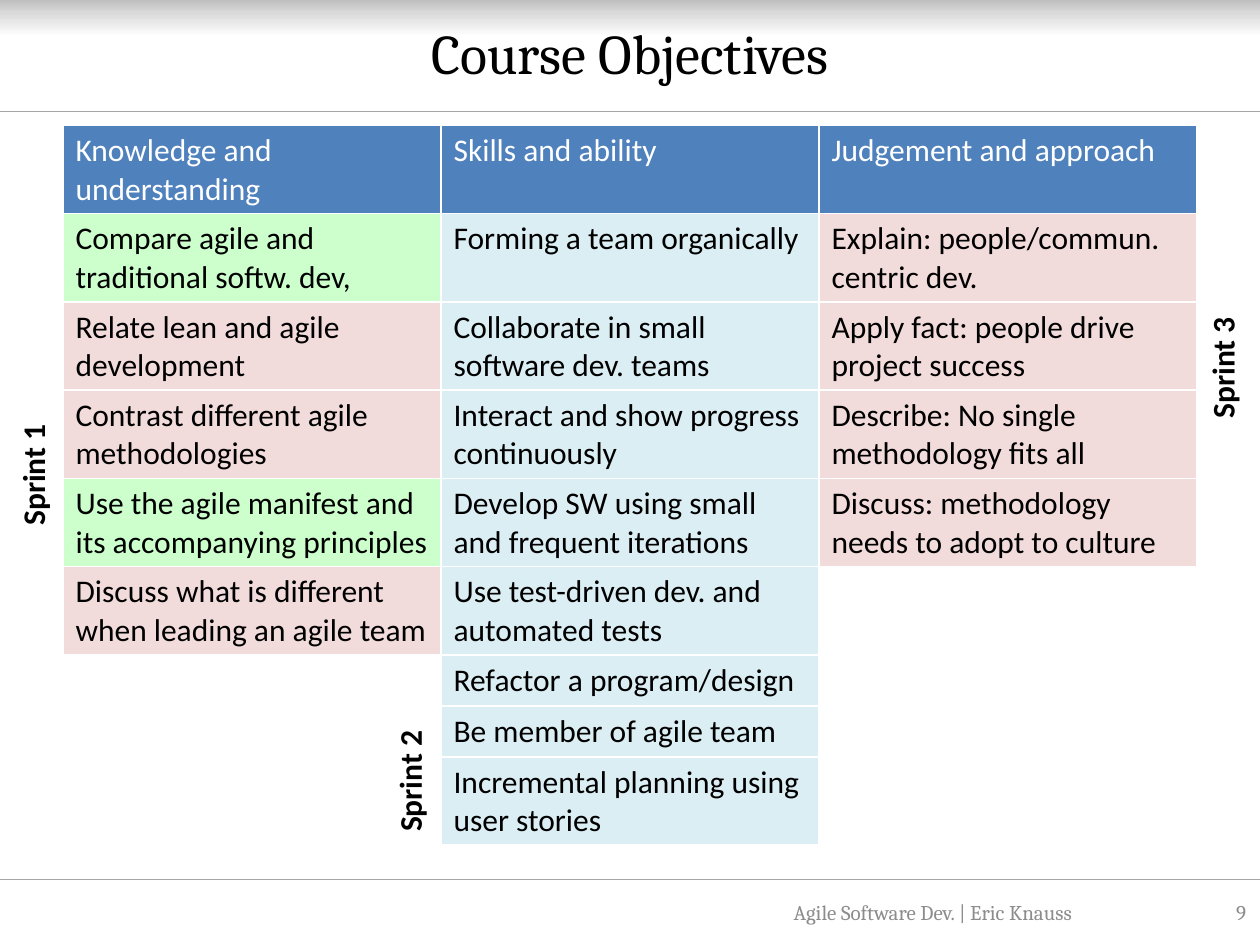
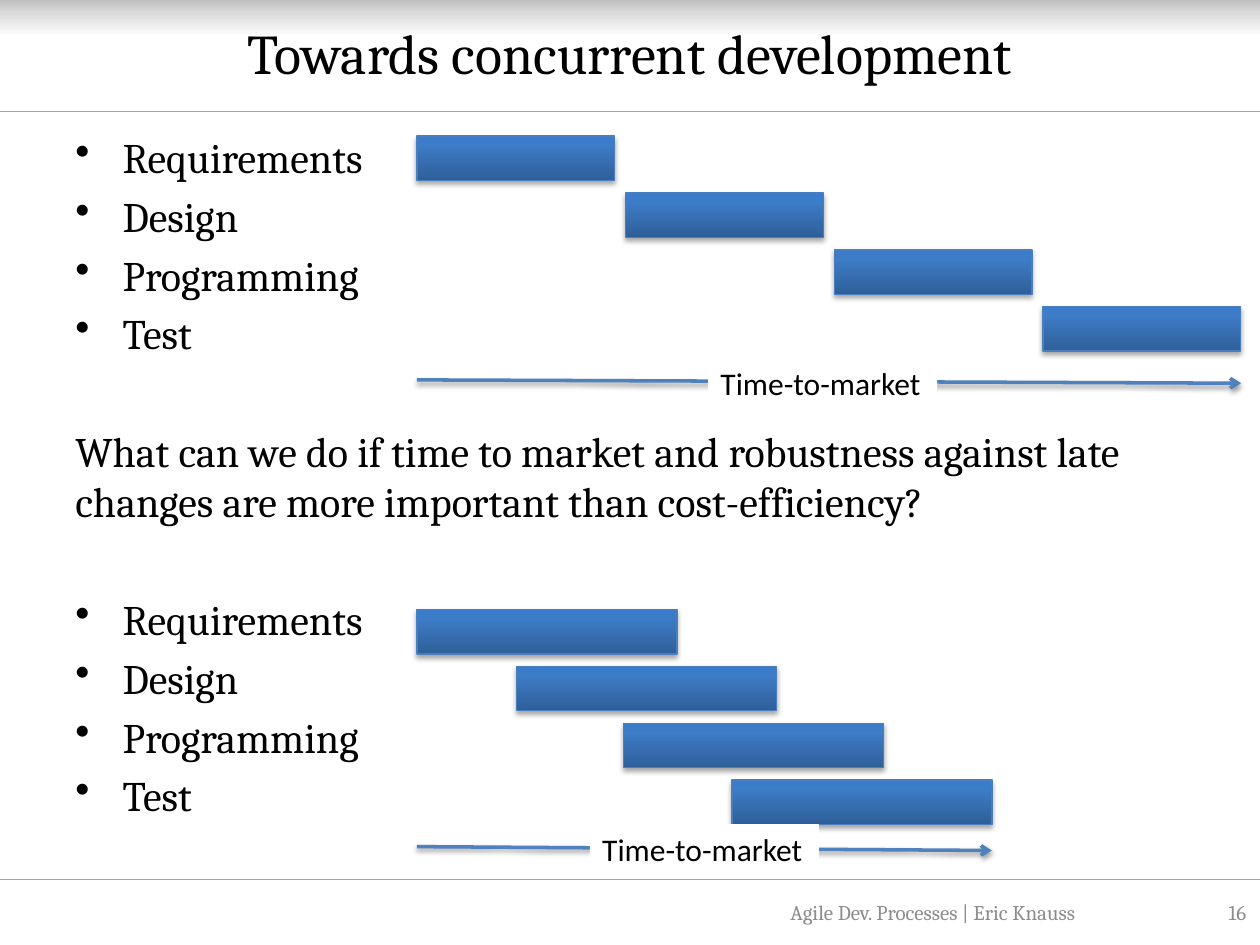
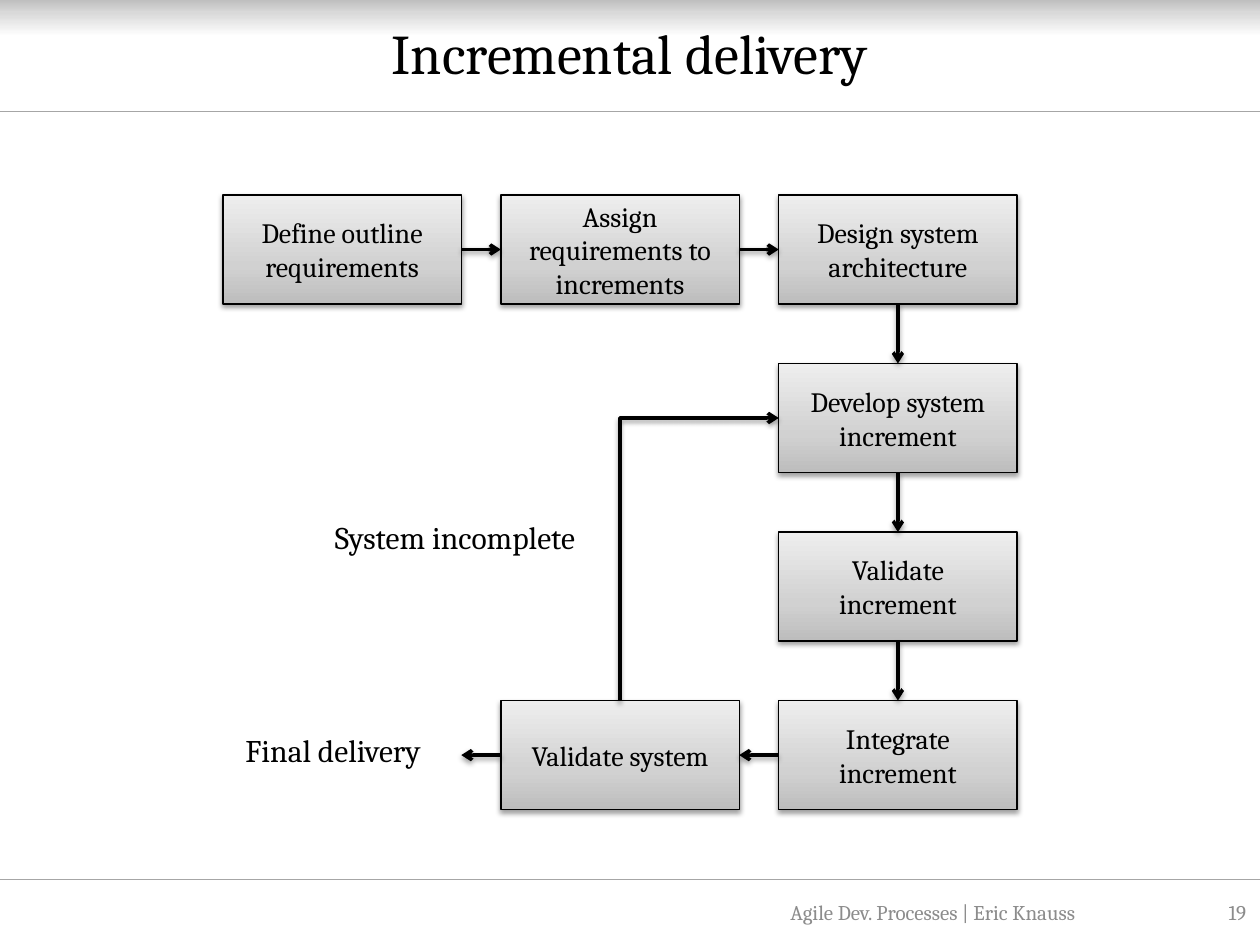
import pptx
import pptx.dml.color
import pptx.enum.shapes
import pptx.enum.text
import pptx.oxml.ns
import pptx.util
from lxml import etree

Pt = pptx.util.Pt
qn = pptx.oxml.ns.qn
ALIGN = pptx.enum.text.PP_ALIGN
ANCHOR = pptx.enum.text.MSO_ANCHOR
RECTANGLE = pptx.enum.shapes.MSO_SHAPE.RECTANGLE
CONNECTOR = pptx.enum.shapes.MSO_CONNECTOR

COLORS = {
    "text": "000000", "white": "FFFFFF", "footer": "8C8C8C", "rule": "A6A6A6",
    "header": "4F81BD", "green": "CCFFCC", "blue": "DBEEF4", "pink": "F2DCDB",
    "bar_line": "4B7EBC", "arrow": "4F81BD",
}
BAND_STOPS = [(0, "BFBFBF"), (34, "D9D9D9"), (100, "FFFFFF")]
BAR_STOPS = [(0, "2F5F99"), (80, "3D7CC7"), (100, "3A7CCB")]
BOX_STOPS = [(0, "BDBDBD"), (35, "D1D1D1"), (100, "EEEEEE")]
BAR_SHADOW = (35, 1.8)
SHADOW = (38, 1.6)
HEADING, BODY = "Cambria", "Calibri"

OBJECTIVES = [
    ("Knowledge and understanding", [
        ("Compare agile and traditional softw. dev,", "green"),
        ("Relate lean and agile development", "pink"),
        ("Contrast different agile methodologies", "pink"),
        ("Use the agile manifest and its accompanying principles", "green"),
        ("Discuss what is different when leading an agile team", "pink")]),
    ("Skills and ability", [
        ("Forming a team organically", "blue"),
        ("Collaborate in small software dev. teams", "blue"),
        ("Interact and show progress continuously", "blue"),
        ("Develop SW using small and frequent iterations", "blue"),
        ("Use test-driven dev. and automated tests", "blue"),
        ("Refactor a program/design", "blue"),
        ("Be member of agile team", "blue"),
        ("Incremental planning using user stories", "blue")]),
    ("Judgement and approach", [
        ("Explain: people/commun. centric dev.", "pink"),
        ("Apply fact: people drive project success", "pink"),
        ("Describe: No single methodology fits all", "pink"),
        ("Discuss: methodology needs to adopt to culture", "pink")]),
]
SPRINTS = [("Sprint 1", -18, 256.3), ("Sprint 2", 197.3, 431.3), ("Sprint 3", 661.7, 195.1)]

PHASES = ["Requirements", "Design", "Programming", "Test"]
QUESTION = ("What can we do if time to market and robustness against late "
            "changes are more important than cost-efficiency?")
SCHEDULES = [
    {"lefts": [238.3, 357.5, 476.7, 596], "top": 77.8, "width": 113,
     "arrow": (238.3, 217.1, 709.2, 219), "label": (404.6, 204.5)},
    {"lefts": [238.3, 295.2, 356.3, 418.3], "top": 348.3, "width": 148.5,
     "arrow": (238.3, 483.8, 566.8, 486), "label": (337, 470.9)},
]
BAR_HEIGHT, BAR_STEP = 25.4, 32.5

STEPS = {
    "Define outline requirements": (0, 0),
    "Assign requirements to increments": (1, 0),
    "Design system architecture": (2, 0),
    "Develop system increment": (2, 1),
    "Validate increment": (2, 2),
    "Integrate increment": (2, 3),
    "Validate system": (1, 3),
}
STEP_LEFT, STEP_TOP, STEP_WIDTH, STEP_HEIGHT = 127.4, 111.4, 136.2, 62.4
COLUMN_STEP, ROW_STEP = 158.8, 96.3
TOP, LEFT, BOTTOM, RIGHT = range(4)
OUTCOMES = [("Final delivery", 133.2, 414, 124.6), ("System incomplete", 184.3, 292.3, 166.3)]


def rgb(name):
    return pptx.dml.color.RGBColor.from_string(COLORS[name])


def points(*lengths):
    return [Pt(length) for length in lengths]


def add_element(parent, tag, **attributes):
    element = etree.SubElement(parent, qn(tag))
    for name, value in attributes.items():
        element.set(name, str(value))
    return element


def style_text(paragraph, size, font=HEADING, color="text", bold=False, align=ALIGN.LEFT):
    paragraph.alignment = align
    for run in paragraph.runs:
        run.font.size = Pt(size)
        run.font.name = font
        run.font.bold = bold
        run.font.color.rgb = rgb(color)


def add_text(slide, text, box, size, anchor=ANCHOR.MIDDLE, wrap=True, **style):
    shape = slide.shapes.add_textbox(*points(*box))
    frame = shape.text_frame
    frame.text = text
    frame.word_wrap = wrap
    frame.vertical_anchor = anchor
    if not wrap:
        frame.auto_size = pptx.enum.text.MSO_AUTO_SIZE.SHAPE_TO_FIT_TEXT
    style_text(frame.paragraphs[0], size, **style)
    return shape


def set_shadow(shape, shadow=None):
    effects = add_element(shape._element.spPr, "a:effectLst")
    if shadow:
        alpha, distance = shadow
        outer = add_element(effects, "a:outerShdw", blurRad=Pt(3.1), dist=Pt(distance),
                            dir=5400000, rotWithShape=0)
        color = add_element(outer, "a:srgbClr", val=COLORS["text"])
        add_element(color, "a:alpha", val=alpha * 1000)


def add_gradient_box(slide, box, stops, angle, line=None, shadow=None):
    shape = slide.shapes.add_shape(RECTANGLE, *points(*box))
    shape.fill.gradient()
    shape.fill.gradient_angle = 360 - angle
    stop_list = shape._element.spPr.find(qn("a:gradFill")).find(qn("a:gsLst"))
    for stop in list(stop_list):
        stop_list.remove(stop)
    for position, color in stops:
        stop = add_element(stop_list, "a:gs", pos=position * 1000)
        add_element(stop, "a:srgbClr", val=color)
    if line:
        shape.line.color.rgb = rgb(line)
        shape.line.width = Pt(0.75)
    else:
        shape.line.fill.background()
    set_shadow(shape, shadow)
    return shape


def add_line(slide, ends, color, width=0.75, arrow=False, kind=CONNECTOR.STRAIGHT):
    line = slide.shapes.add_connector(kind, *points(*ends))
    line.line.color.rgb = rgb(color)
    line.line.width = Pt(width)
    if arrow:
        add_element(line.line._get_or_add_ln(), "a:tailEnd", type="arrow")
    set_shadow(line, SHADOW if arrow else None)
    return line


def add_slide(presentation, title, footer, number):
    slide = presentation.slides.add_slide(presentation.slide_layouts[6])
    add_gradient_box(slide, (0, 0, 720, 20.9), BAND_STOPS, 90)
    for y in (502.6, 63.8):
        add_line(slide, (0, y, 720, y), "rule")
    add_text(slide, title, (36, 2.2, 648, 55.4), 32, align=ALIGN.CENTER)
    add_text(slide, footer, (419, 506.9, 228.2, 28.8), 12, color="footer", align=ALIGN.CENTER)
    add_text(slide, number, (653, 506.9, 66.2, 28.8), 12, color="footer", align=ALIGN.RIGHT)
    return slide


def fill_cell(cell, text, fill, color):
    cell.text = text
    cell.fill.solid()
    cell.fill.fore_color.rgb = rgb(fill)
    style_text(cell.text_frame.paragraphs[0], 18, font=BODY, color=color)
    properties = cell._tc.get_or_add_tcPr()
    for index, side in enumerate(("a:lnL", "a:lnR", "a:lnT", "a:lnB")):
        border = etree.Element(qn(side), w=str(Pt(1)))
        add_element(add_element(border, "a:solidFill"), "a:srgbClr", val=COLORS["white"])
        properties.insert(index, border)


def build_objectives(presentation):
    slide = add_slide(presentation, "Course Objectives", "Agile Software Dev. | Eric Knauss", "9")
    row_count = 1 + max(len(goals) for _, goals in OBJECTIVES)
    frame = slide.shapes.add_table(row_count, len(OBJECTIVES), *points(36, 71.6, 648, 411))
    table = frame.table
    table.first_row = table.horz_banding = False
    for row in table.rows:
        row.height = Pt(29.2)
    frame.height = Pt(411)
    for column, (heading, goals) in enumerate(OBJECTIVES):
        fill_cell(table.cell(0, column), heading, "header", "white")
        padded = goals + [("", "white")] * (row_count - 1 - len(goals))
        for row, (goal, fill) in enumerate(padded, 1):
            fill_cell(table.cell(row, column), goal, fill, "text")
    for name, left, top in SPRINTS:
        label = add_text(slide, name, (left, top, 73.4, 29), 18, anchor=ANCHOR.TOP,
                         wrap=False, font=BODY, bold=True)
        label.rotation = 270


def build_concurrent(presentation):
    slide = add_slide(presentation, "Towards concurrent development",
                      "Agile Dev. Processes | Eric Knauss", "16")
    body = slide.shapes.add_textbox(*points(36, 71.6, 648, 419.8)).text_frame
    body.word_wrap = True
    lines = PHASES + [QUESTION] + PHASES
    body.text = "\n".join(lines)
    section_starts = (len(PHASES), len(PHASES) + 1)
    for index, paragraph in enumerate(body.paragraphs):
        if index:
            paragraph.space_before = Pt(38.4 if index in section_starts else 4.8)
        if lines[index] in PHASES:
            properties = paragraph._p.get_or_add_pPr()
            properties.set("marL", str(Pt(27)))
            properties.set("indent", str(Pt(-27)))
            add_element(properties, "a:buChar", char="•")
        style_text(paragraph, 24)
    for schedule in SCHEDULES:
        for index, left in enumerate(schedule["lefts"]):
            box = (left, schedule["top"] + index * BAR_STEP, schedule["width"], BAR_HEIGHT)
            add_gradient_box(slide, box, BAR_STOPS, 270, "bar_line", BAR_SHADOW)
        add_line(slide, schedule["arrow"], "arrow", 2, arrow=True)
        label = add_text(slide, "Time-to-market", (*schedule["label"], 131, 29), 18,
                         anchor=ANCHOR.TOP, wrap=False, font=BODY)
        label.fill.solid()
        label.fill.fore_color.rgb = rgb("white")


def build_delivery(presentation):
    slide = add_slide(presentation, "Incremental delivery",
                      "Agile Dev. Processes | Eric Knauss", "19")
    boxes = []
    for text, (column, row) in STEPS.items():
        box = (STEP_LEFT + column * COLUMN_STEP, STEP_TOP + row * ROW_STEP,
               STEP_WIDTH, STEP_HEIGHT)
        shape = add_gradient_box(slide, box, BOX_STOPS, 270, "text", SHADOW)
        shape.text_frame.text = text
        shape.text_frame.word_wrap = True
        shape.text_frame.vertical_anchor = ANCHOR.MIDDLE
        style_text(shape.text_frame.paragraphs[0], 16, align=ALIGN.CENTER)
        boxes.append(shape)

    cells = list(STEPS.values())
    for index in range(len(boxes) - 1):
        (column, row), (next_column, next_row) = cells[index], cells[index + 1]
        if next_row > row:
            sites = BOTTOM, TOP
        else:
            sites = (RIGHT, LEFT) if next_column > column else (LEFT, RIGHT)
        arrow = add_line(slide, (0, 0, 0, 0), "text", 2, arrow=True)
        arrow.begin_connect(boxes[index], sites[0])
        arrow.end_connect(boxes[index + 1], sites[1])

    last_left, last_top = boxes[-1].left.pt, boxes[-1].top.pt
    exit_y = last_top + STEP_HEIGHT / 2
    exit_x = last_left - (COLUMN_STEP - STEP_WIDTH)
    add_line(slide, (last_left, exit_y, exit_x, exit_y), "text", 2, arrow=True)

    develop = boxes[list(STEPS).index("Develop system increment")]
    start_x, start_y = last_left + STEP_WIDTH / 2, last_top
    end_x, end_y = develop.left.pt, develop.top.pt + STEP_HEIGHT / 2
    center_x, center_y = (start_x + end_x) / 2, (start_y + end_y) / 2
    half_rise, half_run = (start_y - end_y) / 2, (end_x - start_x) / 2
    loop = add_line(slide, (center_x + half_rise, center_y + half_run,
                            center_x - half_rise, center_y - half_run),
                    "text", 2, arrow=True, kind=CONNECTOR.ELBOW)
    loop._element.spPr.find(qn("a:xfrm")).set("rot", "5400000")
    loop._element.spPr.find(qn("a:prstGeom")).set("prst", "bentConnector2")

    for text, left, top, width in OUTCOMES:
        add_text(slide, text, (left, top, width, 29), 18, anchor=ANCHOR.TOP, wrap=False)


def main():
    presentation = pptx.Presentation()
    presentation.slide_width, presentation.slide_height = points(720, 540)
    build_objectives(presentation)
    build_concurrent(presentation)
    build_delivery(presentation)
    presentation.save("out.pptx")


if __name__ == "__main__":
    main()
